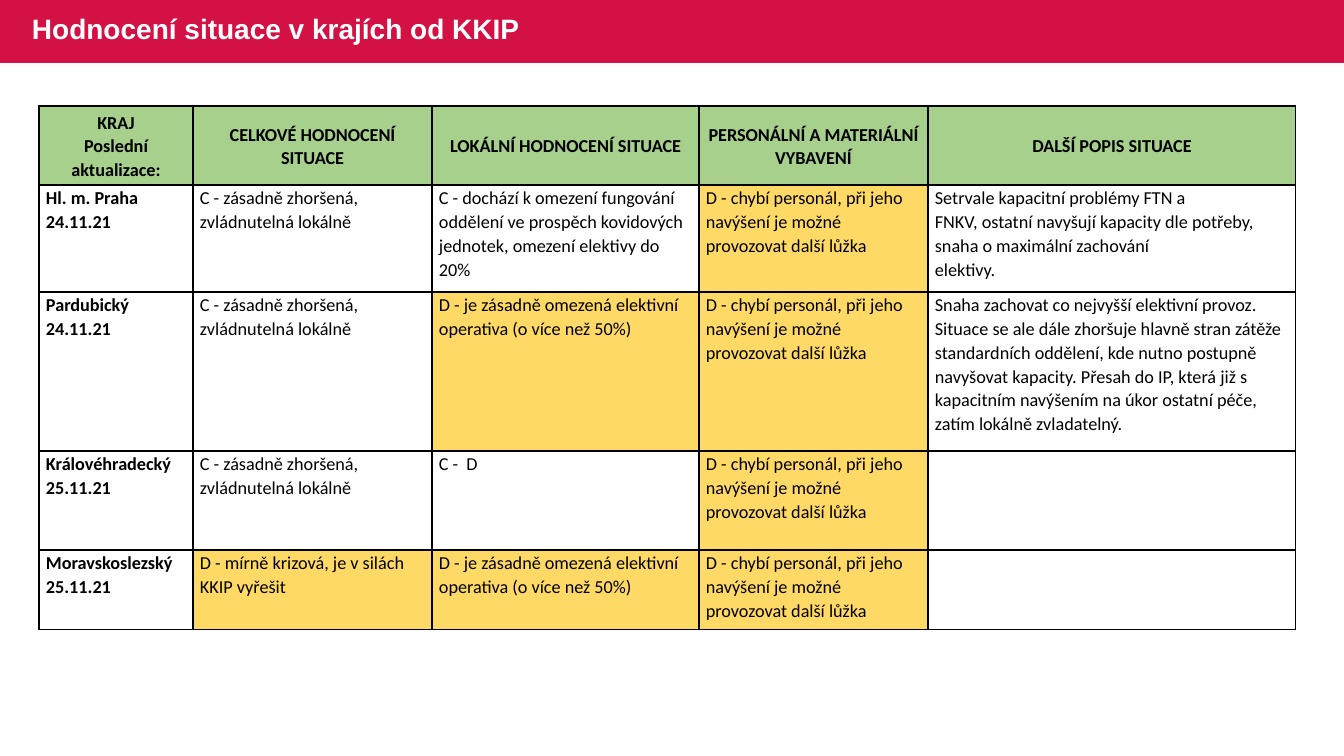
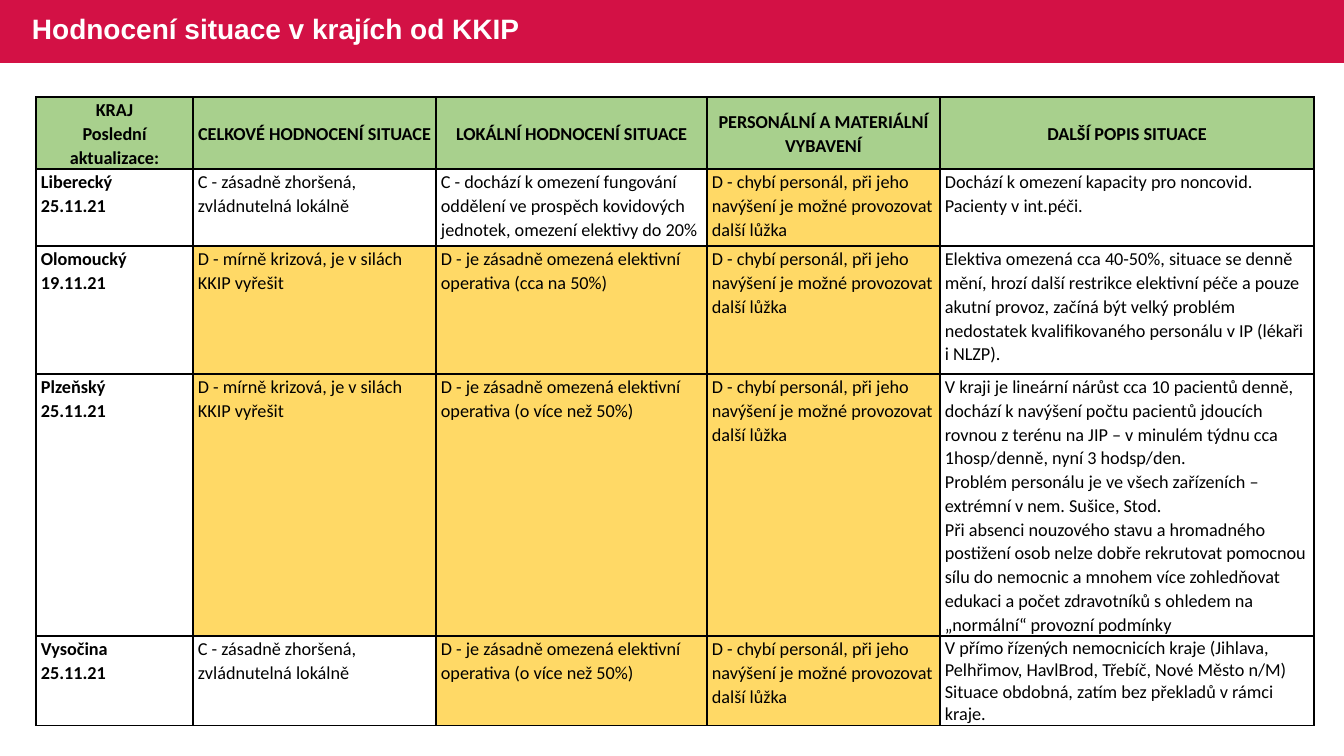
from dataclasses import dataclass

from lxml import etree
from pptx import Presentation
from pptx.dml.color import RGBColor
from pptx.enum.shapes import MSO_SHAPE
from pptx.enum.text import MSO_ANCHOR, PP_ALIGN
from pptx.oxml.ns import qn
from pptx.util import Emu, Pt

RECT = MSO_SHAPE.RECTANGLE
TOP, MIDDLE = MSO_ANCHOR.TOP, MSO_ANCHOR.MIDDLE
LEFT, CENTER = PP_ALIGN.LEFT, PP_ALIGN.CENTER


@dataclass(frozen=True)
class Theme:
    band: RGBColor = RGBColor.from_string("D31145")
    white: RGBColor = RGBColor.from_string("FFFFFF")
    black: RGBColor = RGBColor.from_string("000000")
    header: RGBColor = RGBColor.from_string("A8D08D")
    warning: RGBColor = RGBColor.from_string("FFD966")
    title_font: str = "Arial"
    table_font: str = "Calibri"
    title_size: Pt = Pt(20)
    table_size: Pt = Pt(13)
    border: Pt = Pt(1)
    title_spacing: float = 0.9
    table_spacing: float = 1.07


theme = Theme()


def px(n):
    return Emu(round(n * 12192000 / 1344))


def add_borders(cell):
    tcPr = cell._tc.get_or_add_tcPr()
    for i, side in enumerate(("a:lnL", "a:lnR", "a:lnT", "a:lnB")):
        ln = etree.Element(qn(side), w=str(theme.border))
        fill = etree.SubElement(ln, qn("a:solidFill"))
        etree.SubElement(fill, qn("a:srgbClr"), val=str(theme.black))
        tcPr.insert(i, ln)


TITLE = "Hodnocení situace v krajích od KKIP"
HEADER = (
    "KRAJ\nPoslední aktualizace:",
    "CELKOVÉ HODNOCENÍ SITUACE",
    "LOKÁLNÍ HODNOCENÍ SITUACE",
    "PERSONÁLNÍ A MATERIÁLNÍ VYBAVENÍ",
    "DALŠÍ POPIS SITUACE",
)
WORSE = "C - zásadně zhoršená, zvládnutelná lokálně"
CRISIS = "D - mírně krizová, je v silách KKIP vyřešit"
REDUCED = "C - dochází k omezení fungování oddělení ve prospěch kovidových jednotek, omezení elektivy do 20%"
LIMITED = "D - je zásadně omezená elektivní operativa (o více než 50%)"
STAFF = "D - chybí personál, při jeho navýšení je možné provozovat další lůžka"

pages = [
    {
        "at": (39, 106),
        "cols": (154, 239, 267, 229, 368),
        "heights": (79, 107, 159, 99, 80),
        "inset": 7,
        "single_spaced": None,
        "rows": [
            ("Hl. m. Praha\n24.11.21", WORSE, REDUCED, STAFF,
             "Setrvale kapacitní problémy FTN a\vFNKV, ostatní navyšují kapacity dle potřeby, "
             "snaha o maximální zachování\velektivy."),
            ("Pardubický\n24.11.21", WORSE, LIMITED, STAFF,
             "Snaha zachovat co nejvyšší elektivní provoz. Situace se ale dále zhoršuje hlavně "
             "stran zátěže standardních oddělení, kde nutno postupně navyšovat kapacity. Přesah "
             "do IP, která již s kapacitním navýšením na úkor ostatní péče, zatím lokálně "
             "zvladatelný."),
            ("Královéhradecký\n25.11.21", WORSE, "C -  D", STAFF, ""),
            ("Moravskoslezský\n25.11.21", CRISIS, LIMITED, STAFF, ""),
        ],
    },
    {
        "at": (36, 97),
        "cols": (157, 243, 271, 233, 374),
        "heights": (72, 77, 128, 262, 90),
        "inset": 5,
        "single_spaced": (4, 4),
        "rows": [
            ("Liberecký\n25.11.21", WORSE, REDUCED, STAFF,
             "Dochází k omezení kapacity pro noncovid. Pacienty v int.péči."),
            ("Olomoucký\n19.11.21", CRISIS,
             "D - je zásadně omezená elektivní operativa (cca na 50%)", STAFF,
             "Elektiva omezená cca 40-50%, situace se denně mění, hrozí další restrikce "
             "elektivní péče a pouze akutní provoz, začíná být velký problém nedostatek "
             "kvalifikovaného personálu v IP (lékaři i NLZP)."),
            ("Plzeňský\n25.11.21", CRISIS, LIMITED, STAFF,
             "V kraji je lineární nárůst cca 10 pacientů denně, dochází k navýšení počtu "
             "pacientů jdoucích rovnou z terénu na JIP – v minulém týdnu cca 1hosp/denně, "
             "nyní 3 hodsp/den.\n"
             "Problém personálu je ve všech zařízeních – extrémní v nem. Sušice, Stod.\n"
             "Při absenci nouzového stavu a hromadného postižení osob nelze dobře rekrutovat "
             "pomocnou sílu do nemocnic a mnohem více zohledňovat edukaci a počet zdravotníků "
             "s ohledem na „normální“ provozní podmínky"),
            ("Vysočina\n25.11.21", WORSE, LIMITED, STAFF,
             "V přímo řízených nemocnicích kraje (Jihlava, Pelhřimov, HavlBrod, Třebíč, Nové "
             "Město n/M) Situace obdobná, zatím bez překladů v rámci kraje."),
        ],
    },
]

prs = Presentation()
prs.slide_width, prs.slide_height = px(1344), px(756)

for page in pages:
    slide = prs.slides.add_slide(prs.slide_layouts[6])

    sp = slide.shapes.add_shape(RECT, 0, 0, prs.slide_width, px(63))
    sp.shadow.inherit = False
    sp.fill.solid()
    sp.fill.fore_color.rgb = theme.band
    sp.line.fill.background()

    tf = slide.shapes.add_textbox(px(22), px(-1), px(820), px(63)).text_frame
    tf.word_wrap = True
    tf.vertical_anchor = MIDDLE
    p = tf.paragraphs[0]
    p.text = TITLE
    p.line_spacing = theme.title_spacing
    p.font.name = theme.title_font
    p.font.size = theme.title_size
    p.font.bold = True
    p.font.color.rgb = theme.white

    cols, heights = page["cols"], page["heights"]
    left, top = page["at"]
    table = slide.shapes.add_table(
        len(heights), len(cols), px(left), px(top), px(sum(cols)), px(sum(heights))
    ).table
    table.first_row = False
    table.horz_banding = False
    for column, width in zip(table.columns, cols):
        column.width = px(width)

    for r, (height, texts) in enumerate(zip(heights, [HEADER, *page["rows"]])):
        table.rows[r].height = px(height)
        for c, text in enumerate(texts):
            cell = table.cell(r, c)
            cell.margin_left = cell.margin_right = px(page["inset"])
            cell.margin_top, cell.margin_bottom = px(1), 0
            cell.vertical_anchor = MIDDLE if r == 0 else TOP
            cell.fill.solid()
            if r == 0:
                cell.fill.fore_color.rgb = theme.header
            elif text.startswith("D -"):
                cell.fill.fore_color.rgb = theme.warning
            else:
                cell.fill.fore_color.rgb = theme.white
            add_borders(cell)
            cell.text = text
            for p in cell.text_frame.paragraphs:
                p.alignment = CENTER if r == 0 else LEFT
                p.line_spacing = 1.0 if (r, c) == page["single_spaced"] else theme.table_spacing
                p.font.name = theme.table_font
                p.font.size = theme.table_size
                p.font.bold = r == 0 or c == 0
                p.font.color.rgb = theme.black

prs.save("out.pptx")
